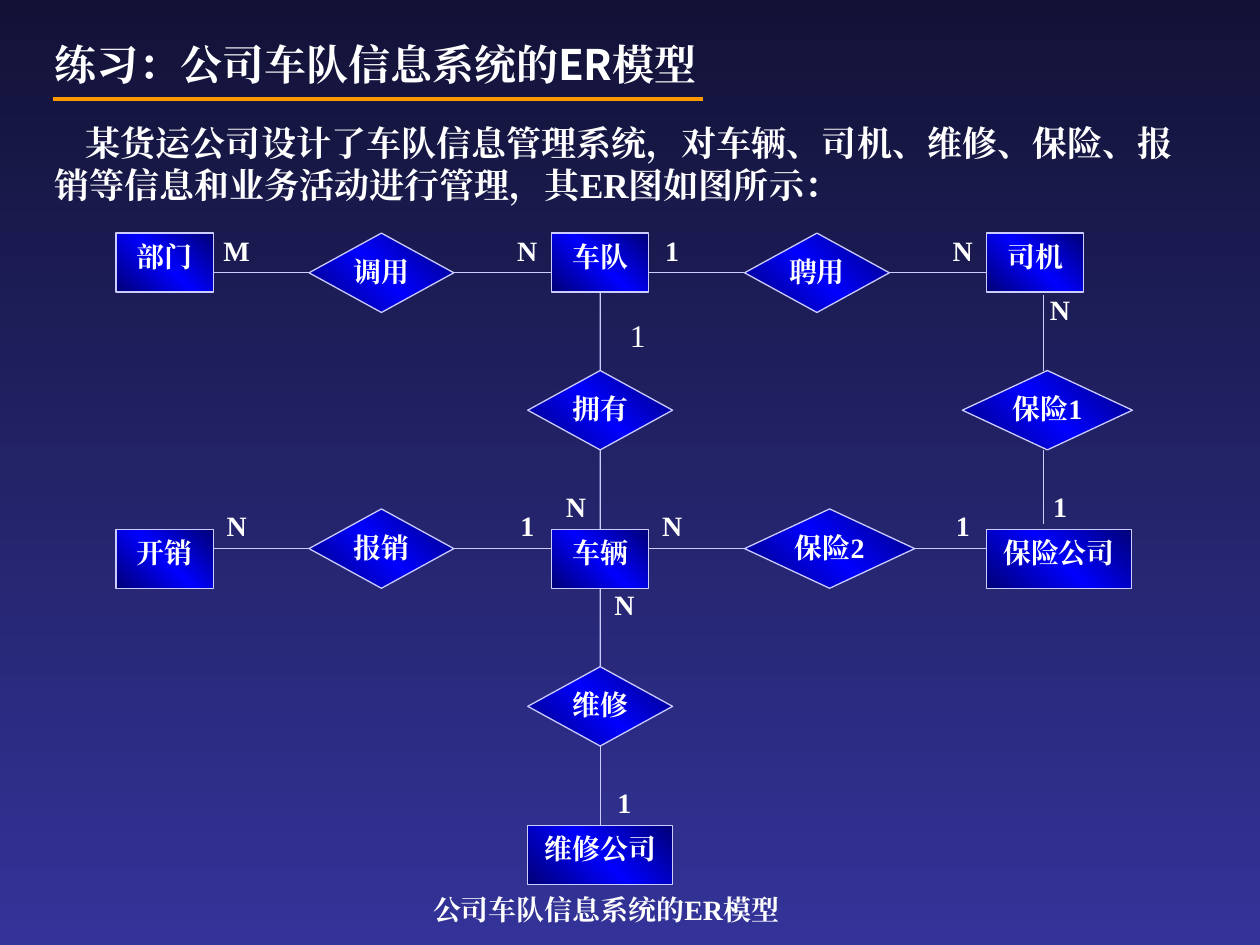
"""Build a slide with the entity-relationship diagram of a fleet information system."""
import copy
from dataclasses import dataclass

import pptx
import pptx.dml.color
import pptx.enum.shapes
import pptx.enum.text
import pptx.oxml
import pptx.oxml.ns
import pptx.util
from pptx.util import Cm

COLORS = {
    "night": "121237", "indigo": "333399", "navy": "000076", "blue": "0000FF",
    "outline": "CCCCFF", "text": "FFFFFF", "accent": "FF9900",
}
SERIF = "Times New Roman"
SANS = "Noto Sans CJK SC"
SHAPE = pptx.enum.shapes.MSO_SHAPE
ALIGN = pptx.enum.text.PP_ALIGN
ANCHOR = pptx.enum.text.MSO_ANCHOR
TOP, LEFT, BOTTOM, RIGHT = range(4)
COLUMNS = (2.34, 11.12, 19.89)
ROWS = (4.7, 10.67, 16.64)
CENTER = 12.1
INSURANCE_X = 21.03


@dataclass(frozen=True)
class Node:
    """An entity rectangle or a relation diamond, measured in centimetres."""
    text: str
    left: float
    top: float
    width: float
    is_relation: bool = False

    @property
    def height(self) -> float:
        return 1.6 if self.is_relation else 1.19


@dataclass(frozen=True)
class Link:
    """A line from one side of a relation to the facing side of an entity."""
    relation: str
    side: int
    entity: str


@dataclass(frozen=True)
class Label:
    """A cardinality mark."""
    text: str
    left: float
    top: float


NODES = [
    Node("部门", COLUMNS[0], ROWS[0], 1.96),
    Node("车队", COLUMNS[1], ROWS[0], 1.96),
    Node("司机", COLUMNS[2], ROWS[0], 1.96),
    Node("开销", COLUMNS[0], ROWS[1], 1.96),
    Node("车辆", COLUMNS[1], ROWS[1], 1.96),
    Node("保险公司", COLUMNS[2], ROWS[1], 2.92),
    Node("维修公司", CENTER - 1.46, ROWS[2], 2.92),
    Node("调用", 6.23, 4.7, 2.92, True),
    Node("聘用", 15.01, 4.7, 2.92, True),
    Node("拥有", CENTER - 1.46, 7.47, 2.92, True),
    Node("保险1", 19.4, 7.47, 3.43, True),
    Node("报销", 6.23, 10.26, 2.92, True),
    Node("保险2", 15.01, 10.26, 3.43, True),
    Node("维修", CENTER - 1.46, 13.44, 2.92, True),
]
LINKS = [
    Link("调用", LEFT, "部门"), Link("调用", RIGHT, "车队"),
    Link("聘用", LEFT, "车队"), Link("聘用", RIGHT, "司机"),
    Link("拥有", TOP, "车队"), Link("拥有", BOTTOM, "车辆"),
    Link("报销", LEFT, "开销"), Link("报销", RIGHT, "车辆"),
    Link("保险2", LEFT, "车辆"), Link("保险2", RIGHT, "保险公司"),
    Link("维修", TOP, "车辆"), Link("维修", BOTTOM, "维修公司"),
]
LABELS = [
    Label("M", 4.28, 4.7), Label("N", 10.14, 4.7), Label("1", 13.06, 4.7),
    Label("N", 18.92, 4.7), Label("N", 20.88, 5.89), Label("N", 4.28, 10.26),
    Label("1", 10.14, 10.26), Label("N", 11.12, 9.86), Label("N", 13.06, 10.26),
    Label("1", 18.92, 10.26), Label("1", 20.88, 9.86), Label("N", CENTER, 11.84),
    Label("1", CENTER, 15.83),
]


def rgb(name: str) -> pptx.dml.color.RGBColor:
    return pptx.dml.color.RGBColor.from_string(COLORS[name])


def paint_gradient(fill, element, names: list[str], angle: int) -> None:
    fill.gradient()
    fill.gradient_angle = angle
    stops = element.find(".//" + pptx.oxml.ns.qn("a:gsLst"))
    while len(stops) < len(names):
        stops.append(copy.deepcopy(stops[-1]))
    for index, (stop, name) in enumerate(zip(fill.gradient_stops, names)):
        stop.position = index / (len(names) - 1)
        stop.color.rgb = rgb(name)


def format_span(span, size: int, font: str = SERIF, bold: bool = True) -> None:
    span.font.size = pptx.util.Pt(size)
    span.font.bold = bold
    span.font.name = font
    span.font.color.rgb = rgb("text")
    east_asian = pptx.oxml.parse_xml(
        f'<a:ea {pptx.oxml.ns.nsdecls("a")} typeface="{SERIF}"/>')
    span.font._element.find(pptx.oxml.ns.qn("a:latin")).addnext(east_asian)


def write_spans(box, spans: list[tuple[str, str]], size: int, align=ALIGN.LEFT,
                anchor=ANCHOR.TOP, insets=(0.25, 0.13, 0.25, 0.13), bold: bool = True):
    frame = box.text_frame
    frame.auto_size = pptx.enum.text.MSO_AUTO_SIZE.NONE
    frame.word_wrap = True
    frame.vertical_anchor = anchor
    frame.margin_left, frame.margin_top, frame.margin_right, frame.margin_bottom = map(Cm, insets)
    para = frame.paragraphs[0]
    para.alignment = align
    for text, font in spans:
        span = para.add_run()
        span.text = text
        format_span(span, size, font, bold)
    return para


def add_text(page, left: float, top: float, width: float, height: float, spans, size: int, **options):
    box = page.shapes.add_textbox(Cm(left), Cm(top), Cm(width), Cm(height))
    return write_spans(box, spans, size, **options)


def add_node(page, node: Node):
    kind = SHAPE.FLOWCHART_DECISION if node.is_relation else SHAPE.RECTANGLE
    shape = page.shapes.add_shape(kind, Cm(node.left), Cm(node.top), Cm(node.width), Cm(node.height))
    shape.shadow.inherit = False
    paint_gradient(shape.fill, shape._element, ["navy", "blue", "navy"], 45)
    shape.line.color.rgb = rgb("outline")
    shape.line.width = pptx.util.Pt(0.75)
    top_inset = 0.03 if node.is_relation else 0.13
    write_spans(shape, [(node.text, SERIF)], 16, align=ALIGN.CENTER, insets=(0, top_inset, 0, 0.13))
    return shape


def add_line(page, start, end, color: str = "outline", width: float = 0.75):
    line = page.shapes.add_connector(
        pptx.enum.shapes.MSO_CONNECTOR.STRAIGHT, *map(Cm, (*start, *end)))
    line.line.color.rgb = rgb(color)
    line.line.width = pptx.util.Pt(width)
    line._element.spPr.append(
        pptx.oxml.parse_xml(f'<a:effectLst {pptx.oxml.ns.nsdecls("a")}/>'))
    return line


def add_link(page, link: Link, nodes: dict[str, Node], shapes: dict) -> None:
    relation, entity = nodes[link.relation], nodes[link.entity]
    middle = relation.top + relation.height / 2
    edge = entity.left + (entity.width if link.side == LEFT else 0)
    line = add_line(page, (relation.left, middle), (edge, middle))
    line.begin_connect(shapes[link.relation], link.side)
    if link.side in (TOP, BOTTOM):
        line.end_connect(shapes[link.entity], BOTTOM - link.side)


def main() -> None:
    deck = pptx.Presentation()
    deck.slide_width, deck.slide_height = Cm(25.4), Cm(19.05)
    page = deck.slides.add_slide(deck.slide_layouts[5])
    paint_gradient(page.background.fill, page._element, ["night", "indigo"], 270)

    title = page.shapes.title
    title.left, title.top, title.width, title.height = map(Cm, (0.84, 0.64, 14.4, 1.27))
    write_spans(title, [("练习：", SERIF), ("公司车队信息系统的ER模型", SANS)], 24, anchor=ANCHOR.MIDDLE)
    add_line(page, (1.07, 2), (14.17, 2), "accent", 2.25)
    intro = add_text(page, 0.84, 2.34, 23.06, 1.9, [
        ("某货运公司设计了车队信息管理系统，对车辆、司机、维修、保险、报销等信息和业务活动进行管理，其", SANS),
        ("ER", SERIF), ("图如图所示：", SANS)], 20, anchor=ANCHOR.MIDDLE)
    intro._element.get_or_add_pPr().set("indent", str(Cm(0.64)))

    nodes = {node.text: node for node in NODES}
    shapes = {node.text: add_node(page, node) for node in NODES}
    for link in LINKS:
        add_link(page, link, nodes, shapes)
    for top, bottom in ((5.94, 7.47), (9.07, 10.57)):
        add_line(page, (INSURANCE_X, top), (INSURANCE_X, bottom))
    for label in LABELS:
        add_text(page, label.left, label.top, 0.98, 0.79, [(label.text, SERIF)], 16,
                 align=ALIGN.CENTER, insets=(0, 0, 0, 0))
    add_text(page, 12.45, 6.25, 0.82, 1.02, [("1", SERIF)], 18, bold=False)
    add_text(page, 8.48, 17.86, 10.72, 1.19, [("公司车队信息系统的ER模型", SERIF)], 16, align=ALIGN.JUSTIFY)
    deck.save("out.pptx")


if __name__ == "__main__":
    main()
